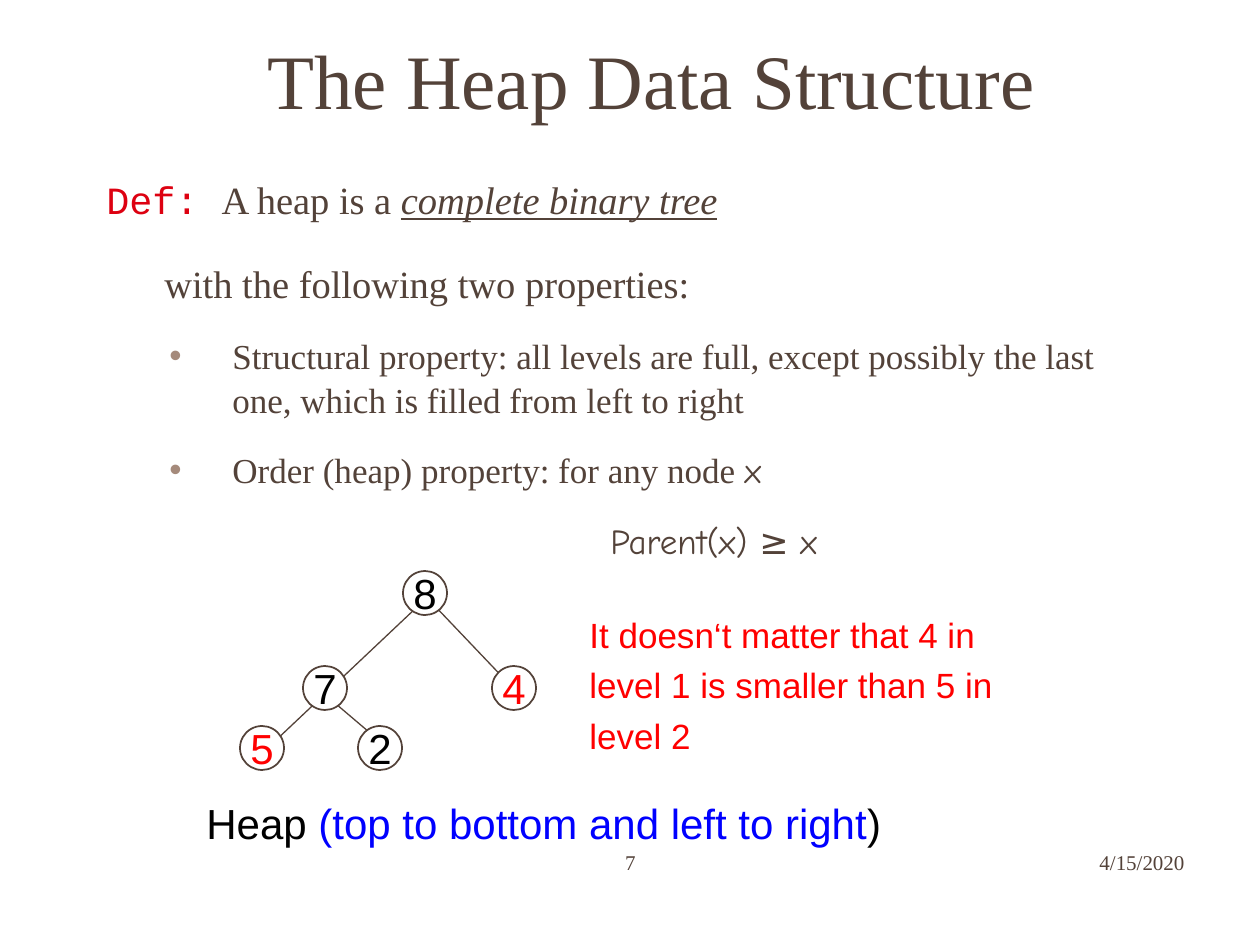
from lxml import etree
from pptx import Presentation
from pptx.dml.color import RGBColor
from pptx.enum.shapes import MSO_CONNECTOR, MSO_SHAPE
from pptx.enum.text import MSO_ANCHOR, PP_ALIGN
from pptx.oxml.ns import qn
from pptx.util import Emu, Pt

LINE, OVAL = MSO_CONNECTOR.STRAIGHT, MSO_SHAPE.OVAL
TOP, MID = MSO_ANCHOR.TOP, MSO_ANCHOR.MIDDLE
LEFT, MIDDLE, RIGHT = PP_ALIGN.LEFT, PP_ALIGN.CENTER, PP_ALIGN.RIGHT
BROWN = RGBColor(0x53, 0x42, 0x39)
CRIMSON = RGBColor(0xDD, 0x01, 0x11)
RED = RGBColor(0xFF, 0, 0)
BLUE = RGBColor(0, 0, 0xFF)
BLACK = RGBColor(0, 0, 0)
WHITE = RGBColor(0xFF, 0xFF, 0xFF)
TAN = "A58A7B"
SERIF, SANS, MONO, COMIC = "Times New Roman", "Arial", "Courier New", "Comic Neue"
SCALE = 914400 / 126
NODE = 44


def px(n):
    """Turn pixels into EMU."""
    return Emu(round(n * SCALE))


def add_run(para, text, size, font=SERIF, color=BROWN, **style):
    """Add one run of styled text."""
    run = para.add_run()
    run.text = text
    run.font.color.rgb = color
    for key, value in {"size": Pt(size), "name": font, **style}.items():
        setattr(run.font, key, value)


def set_para(para, runs, margin=0, indent=0, bullet=False, **style):
    """Fill a paragraph and set its spacing, indent and bullet."""
    for key, value in style.items():
        setattr(para, key, value)
    props = para._p.get_or_add_pPr()
    props.set("marL", str(px(margin)))
    props.set("indent", str(px(indent)))
    if bullet:
        tint = etree.SubElement(props, qn("a:buClr"))
        etree.SubElement(tint, qn("a:srgbClr"), val=TAN)
        etree.SubElement(props, qn("a:buFont"), typeface=SANS)
        etree.SubElement(props, qn("a:buChar"), char="•")
    for text, size, *look in runs:
        extra = look.pop() if look and isinstance(look[-1], dict) else {}
        add_run(para, text, size, *look, **extra)


def add_text(slide, box, paras, anchor=TOP, wrap=True):
    """Add a text box holding (runs, format) paragraphs."""
    frame = slide.shapes.add_textbox(*map(px, box)).text_frame
    frame.word_wrap, frame.vertical_anchor = wrap, anchor
    for i, (runs, style) in enumerate(paras):
        para = frame.add_paragraph() if i else frame.paragraphs[0]
        set_para(para, runs, **style)


def add_edge(slide, *ends):
    """Add one tree edge."""
    edge = slide.shapes.add_connector(LINE, *map(px, ends))
    edge.line.color.rgb, edge.line.width = BROWN, Pt(0.75)
    etree.SubElement(edge._element.spPr, qn("a:effectLst"))


def add_node(slide, label, left, top, color):
    """Add one tree node."""
    node = slide.shapes.add_shape(OVAL, *map(px, (left, top, NODE, NODE)))
    node.shadow.inherit = False
    node.fill.solid()
    node.fill.fore_color.rgb = WHITE
    node.line.color.rgb, node.line.width = BROWN, Pt(1)
    frame = node.text_frame
    frame.word_wrap, frame.vertical_anchor = False, MID
    for side in ("left", "right", "top", "bottom"):
        setattr(frame, f"margin_{side}", 0)
    set_para(frame.paragraphs[0], [(label, 24, SANS, color)], alignment=MIDDLE)


def add_body(slide):
    """Add the definition and its two properties."""
    head = {"space_before": Pt(20), "line_spacing": 1.05}
    item = {"space_before": Pt(15), "line_spacing": 1.05}
    point = {**item, "margin": 126, "indent": -63, "bullet": True}
    term = {"italic": True, "underline": True}
    add_text(slide, (94, 168, 1071, 661), [
        ([("Def: ", 22, MONO, CRIMSON), ("A heap is a ", 22),
          ("complete binary tree", 22, term)], head),
        ([("with the following two properties:", 22)], {**head, "margin": 58}),
        ([("Structural property: all levels are full, except possibly the "
           "last one, which is filled from left to right", 20)], point),
        ([("Order (heap) property: for any node ", 20), ("x", 20, COMIC)], point),
        ([("Parent(x) ≥ x", 20, COMIC)], {**item, "margin": 504}),
    ])


def add_tree(slide):
    """Add the edges and then the nodes of the heap."""
    for ends in ((336, 704, 369, 732), (255, 760, 433, 592), (512, 687, 412, 582)):
        add_edge(slide, *ends)
    for node in (("8", 403, 571, BLACK), ("7", 303, 666, BLACK),
                 ("4", 492, 666, RED), ("5", 240, 726, RED),
                 ("2", 358, 726, BLACK)):
        add_node(slide, *node)


def main():
    """Build the slide and save it."""
    deck = Presentation()
    deck.slide_width, deck.slide_height = px(1260), px(945)
    slide = deck.slides.add_slide(deck.slide_layouts[6])
    center = {"alignment": MIDDLE}
    add_text(slide, (58, 0, 1187, 158),
             [([("The Heap Data Structure", 44)], center)], MID)
    add_body(slide)
    add_tree(slide)
    add_text(slide, (194, 791, 700, 64), [
        ([("Heap ", 24, SANS, BLACK),
          ("(top to bottom and left to right", 24, SANS, BLUE),
          (")", 24, SANS, BLACK)], {"alignment": LEFT})], wrap=False)
    add_text(slide, (577, 599, 471, 164), [
        ([("It doesn‘t matter that 4 in level 1 is smaller than 5 in level 2",
           20, SANS, RED)], {"line_spacing": 1.2})])
    add_text(slide, (903, 843, 294, 38),
             [([("4/15/2020", 12)], {"alignment": RIGHT})], MID)
    add_text(slide, (599, 843, 63, 38), [([("7", 12)], center)], MID)
    deck.save("out.pptx")


if __name__ == "__main__":
    main()
